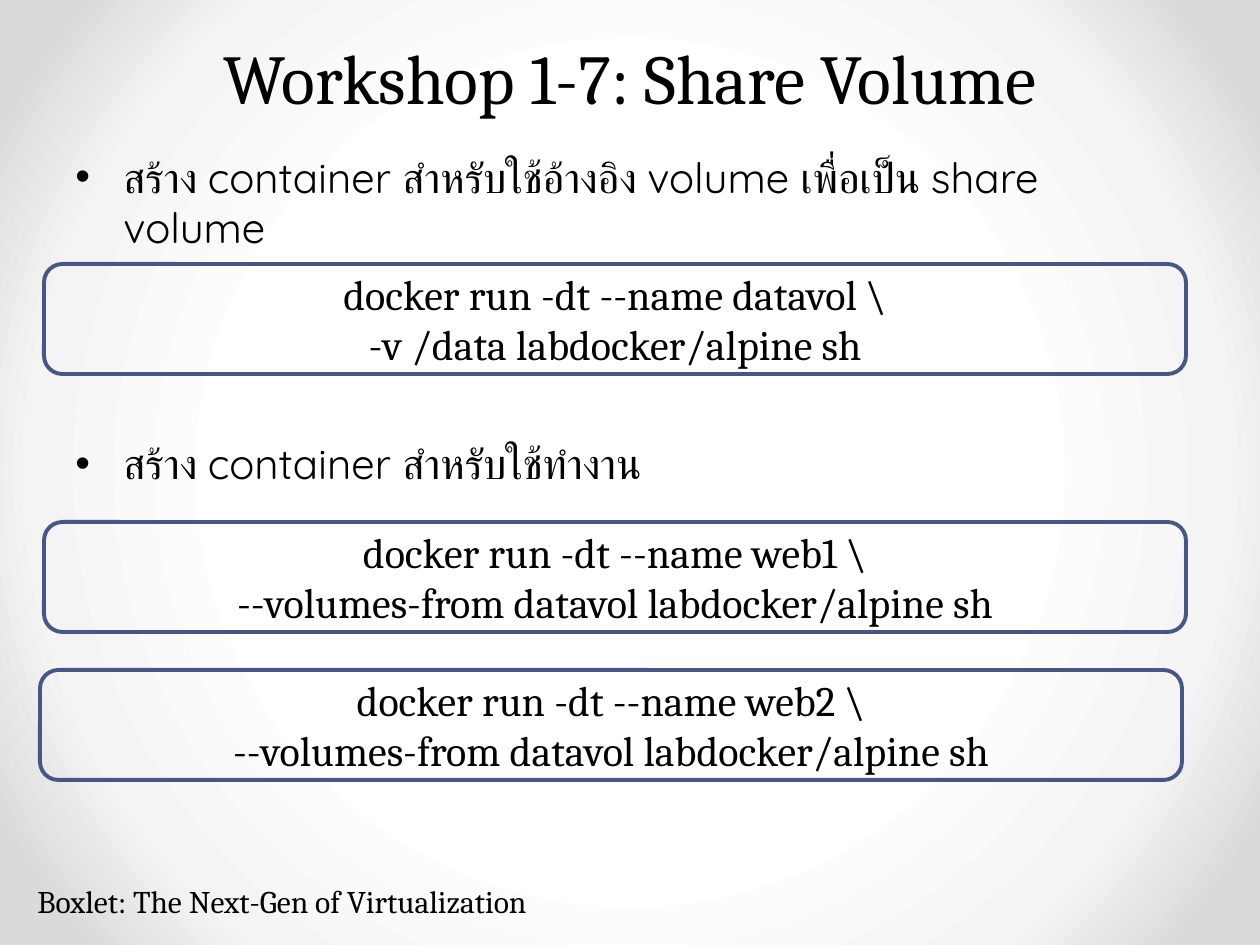
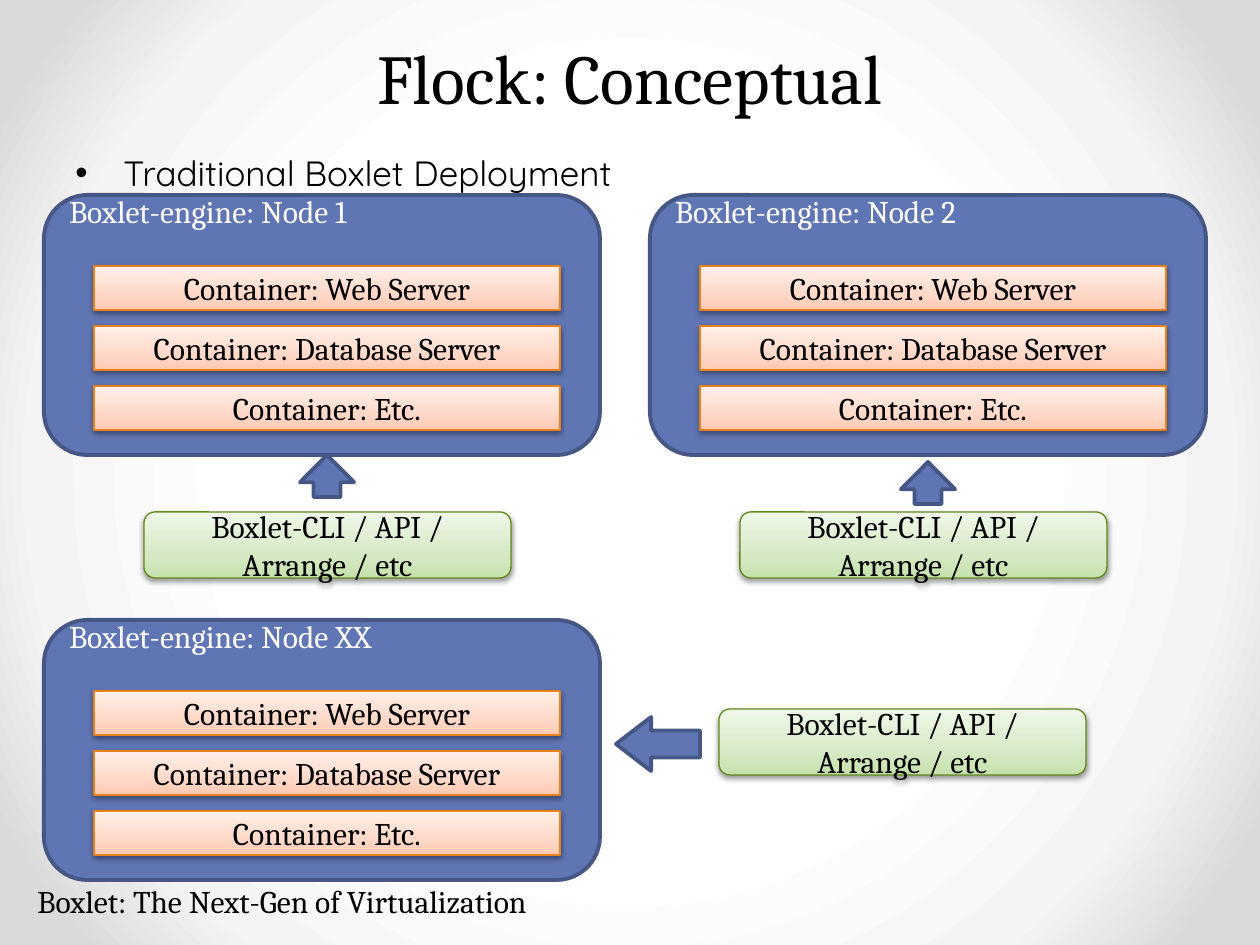
from pptx import Presentation
from pptx.dml.color import RGBColor
from pptx.enum.shapes import MSO_SHAPE as Preset
from pptx.enum.text import MSO_ANCHOR as Anchor, PP_ALIGN as Align
from pptx.oxml import parse_xml
from pptx.oxml.ns import nsdecls
from pptx.util import Emu, Pt

SCALE = 914400 / 126
SERIF, SANS = "Cambria", "Quicksand"
BLACK, WHITE = "000000", "FFFFFF"
BLUE, NAVY = "6076B4", "475785"
GREEN_LINE, ORANGE_LINE = "62891C", "E6811C"
BACKDROP = [(50, "FFFFFF"), (76, "F4F4F4"), (92, "DADADA")]
GREENS = [(0, "C5E1AB"), (35, "D6E9C5"), (100, "EFF7E9")]
ORANGES = [(0, "FFC9B1"), (35, "FFD8C8"), (100, "FFF0EA")]
CENTRE_OUT = '<a:path path="circle"><a:fillToRect l="50000" t="50000" r="50000" b="50000"/></a:path>'
BOTTOM_UP = '<a:lin ang="16200000" scaled="0"/>'
SHADOW = ('<a:outerShdw %s blurRad="40000" dist="20000" dir="5400000" rotWithShape="0">'
          '<a:srgbClr val="000000"><a:alpha val="38000"/></a:srgbClr></a:outerShdw>')
BULLET = ['<a:buFont %s typeface="Arial"/>', '<a:buChar %s char="•"/>']
PRODUCT = "Boxlet"
FOOTER = f"{PRODUCT}: The Next-Gen of Virtualization"
CONTAINERS = ["Container: Web Server", "Container: Database Server", "Container: Etc."]
CLIENT = f"{PRODUCT}-CLI / API / Arrange / etc"


def px(length):
    return Emu(round(length * SCALE))


def colour(value):
    return RGBColor.from_string(value)


def gradient(stops, direction):
    marks = "".join(f'<a:gs pos="{position * 1000}"><a:srgbClr val="{value}"/></a:gs>'
                    for position, value in stops)
    return parse_xml(f'<a:gradFill {nsdecls("a")} rotWithShape="1">'
                     f'<a:gsLst>{marks}</a:gsLst>{direction}</a:gradFill>')


def write(frame, lines, size, font=SERIF, ink=BLACK, align=Align.LEFT):
    frame.word_wrap = True
    for index, line in enumerate(lines):
        paragraph = frame.paragraphs[0] if index == 0 else frame.add_paragraph()
        paragraph.text = line
        paragraph.alignment = align
        paragraph.font.size = Pt(size)
        paragraph.font.name = font
        paragraph.font.color.rgb = colour(ink)


def add_text(slide, box, lines, size, **style):
    frame = slide.shapes.add_textbox(*map(px, box)).text_frame
    write(frame, lines, size, **style)
    return frame


def add_panel(slide, preset, box, line, width, fill=None):
    shape = slide.shapes.add_shape(preset, *map(px, box))
    shape.shadow.inherit = False
    shape.line.color.rgb = colour(line)
    shape.line.width = Pt(width)
    if fill:
        shape.fill.solid()
        shape.fill.fore_color.rgb = colour(fill)
    else:
        shape.fill.background()
    return shape


def add_glossy(slide, preset, box, line, stops, label):
    shape = add_panel(slide, preset, box, line, 0.75, stops[0][1])
    properties = shape._element.spPr
    properties.replace(properties.eg_fillProperties, gradient(stops, BOTTOM_UP))
    properties.effectLst.append(parse_xml(SHADOW % nsdecls("a")))
    write(shape.text_frame, [label], 18, align=Align.CENTER)


def add_bullets(slide, box, items, size, gap=0):
    paragraphs = add_text(slide, box, items, size, font=SANS).paragraphs
    for index, paragraph in enumerate(paragraphs):
        if index:
            paragraph.space_before = Pt(gap)
        properties = paragraph._p.get_or_add_pPr()
        properties.set("marL", str(px(48)))
        properties.set("indent", str(px(-48)))
        for part in BULLET:
            properties.insert_element_before(parse_xml(part % nsdecls("a")),
                                             "a:tabLst", "a:defRPr", "a:extLst")


def add_command(slide, box, lines):
    shape = add_panel(slide, Preset.ROUNDED_RECTANGLE, box, NAVY, 2.25)
    write(shape.text_frame, lines, 24, align=Align.CENTER)


def add_node(slide, left, top, name):
    node = add_panel(slide, Preset.ROUNDED_RECTANGLE, (left, top, 556, 260), NAVY, 2.25, BLUE)
    frame = node.text_frame
    frame.margin_top, frame.margin_bottom = 0, px(228)
    write(frame, [f"{PRODUCT}-engine: {name}"], 18, ink=WHITE)
    for row, container in enumerate(CONTAINERS):
        add_glossy(slide, Preset.RECTANGLE, (left + 50, top + 71 + row * 60, 466, 44),
                   ORANGE_LINE, ORANGES, container)


def add_client(slide, left, top):
    add_glossy(slide, Preset.ROUNDED_RECTANGLE, (left, top, 367, 66), GREEN_LINE, GREENS, CLIENT)


def add_arrow(slide, preset, box):
    arrow = add_panel(slide, preset, box, NAVY, 2.25, BLUE)
    arrow.adjustments[0], arrow.adjustments[1] = 0.5, 0.65


def add_base_slide(presentation, title):
    slide = presentation.slides.add_slide(presentation.slide_layouts[6])
    slide.background.fill.solid()
    properties = slide._element.cSld.bg.bgPr
    properties.replace(properties.eg_fillProperties, gradient(BACKDROP, CENTRE_OUT))
    heading = add_text(slide, (63, 0, 1134, 125), [title], 40, align=Align.CENTER)
    heading.vertical_anchor = Anchor.BOTTOM
    heading.paragraphs[0].line_spacing = Pt(58)
    add_text(slide, (25, 876, 804, 50), [FOOTER], 18)
    return slide


def build_volume_slide(presentation):
    slide = add_base_slide(presentation, "Workshop 1-7: Share Volume")
    add_bullets(slide, (63, 145, 1134, 699),
                ["สร้าง container สำหรับใช้อ้างอิง volume เพื่อเป็น share volume",
                 "สร้าง container สำหรับใช้ทำงาน"], 24, gap=106)
    commands = [(44, 264, "datavol", "-v /data"),
                (44, 522, "web1", "--volumes-from datavol"),
                (40, 670, "web2", "--volumes-from datavol")]
    for left, top, name, option in commands:
        add_command(slide, (left, top, 1142, 110),
                    [f"docker run -dt --name {name} \\", f"{option} labdocker/alpine sh"])


def build_cluster_slide(presentation):
    slide = add_base_slide(presentation, "Flock: Conceptual")
    add_bullets(slide, (63, 145, 1134, 735), [f"Traditional {PRODUCT} Deployment"], 20)
    for left, top, name in [(44, 195, "Node 1"), (650, 195, "Node 2"), (44, 620, "Node XX")]:
        add_node(slide, left, top, name)
    for left, top in [(144, 512), (740, 512), (719, 709)]:
        add_client(slide, left, top)
    add_arrow(slide, Preset.UP_ARROW, (300, 455, 54, 42))
    add_arrow(slide, Preset.UP_ARROW, (901, 462, 54, 42))
    add_arrow(slide, Preset.LEFT_ARROW, (616, 717, 84, 54))


def main():
    presentation = Presentation()
    presentation.slide_width, presentation.slide_height = px(1260), px(945)
    build_volume_slide(presentation)
    build_cluster_slide(presentation)
    presentation.save("out.pptx")


if __name__ == "__main__":
    main()
